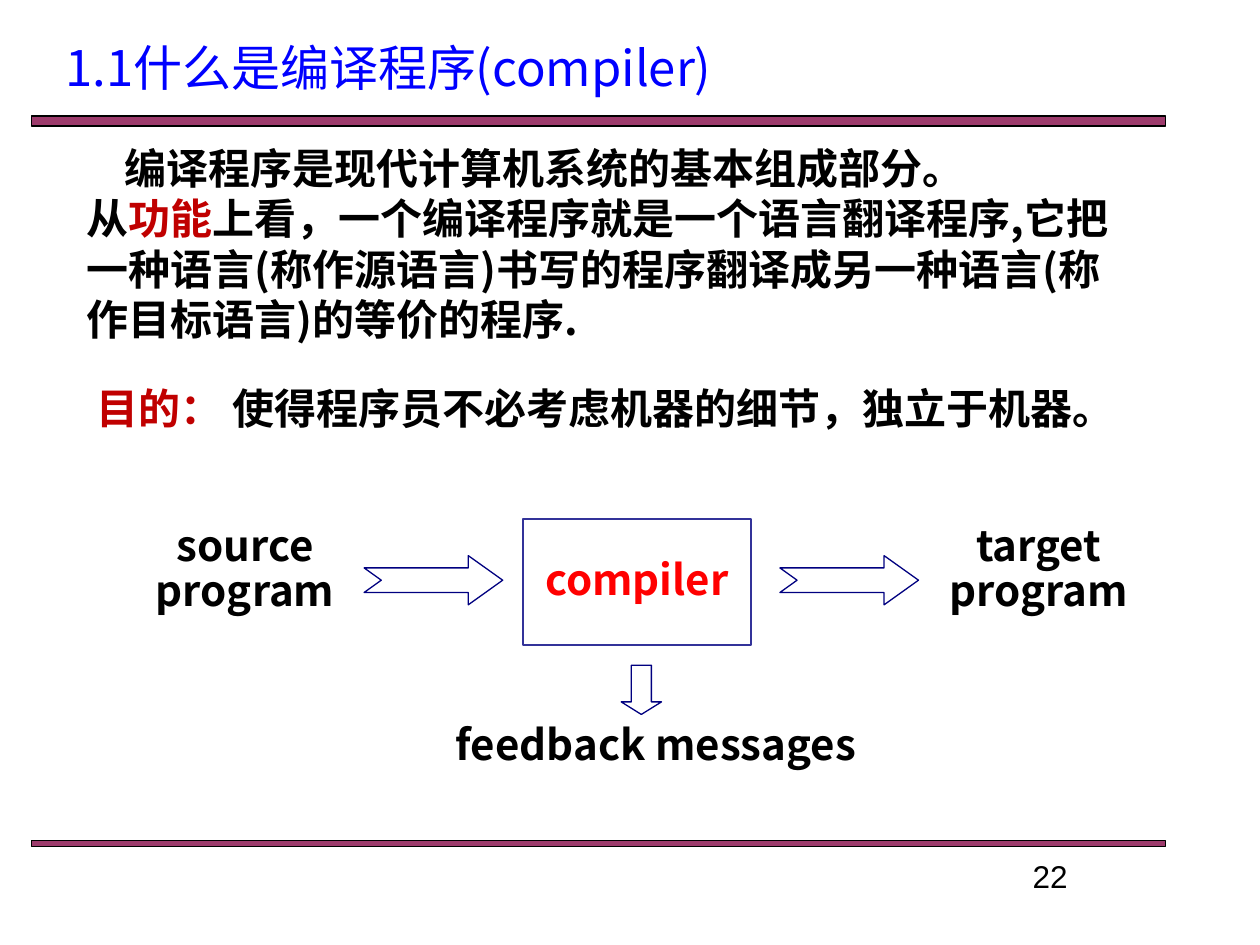
from lxml import etree
from pptx import Presentation
from pptx.dml.color import RGBColor
from pptx.enum import shapes, text
from pptx.oxml import ns
from pptx.util import Inches, Pt

CJK = "Noto Sans CJK SC"
BLACK, RED, DARK_RED, BLUE = "000000", "FF0000", "C00000", "0000FF"
WHITE, NAVY, INDIGO, PLUM = "FFFFFF", "000080", "333399", "993366"

# A paragraph is a list of (words, colour) runs.
TITLE = [[("1.1什么是编译程序(compiler)", BLUE)]]
DEFINITION = [
    [("编译程序是现代计算机系统的基本组成部分。", BLACK)],
    [("从", BLACK), ("功能", DARK_RED),
     ("上看，一个编译程序就是一个语言翻译程序,它把一种语言(称作源语言)书写的程序"
      "翻译成另一种语言(称作目标语言)的等价的程序.", BLACK)],
]
PURPOSE = [[("目的：", DARK_RED), (" 使得程序员不必考虑机器的细节，独立于机器。", BLACK)]]
PAGE_NUMBER = [[("22", BLACK)]]

FLOW_TOP = 4.12
LABELS = [
    ("source program", (0.92, FLOW_TOP, 2.05, 0.83)),
    ("target program", (7.22, FLOW_TOP, 2.05, 0.83)),
    ("feedback messages", (3.12, 5.7, 4.17, 0.47)),
]
COMPILER = (4.15, FLOW_TOP, 1.81, 1)
RIGHT, DOWN = shapes.MSO_SHAPE.NOTCHED_RIGHT_ARROW, shapes.MSO_SHAPE.DOWN_ARROW
ARROWS = [
    (RIGHT, (2.89, 4.41, 1.1, 0.39), 0.7),
    (RIGHT, (6.19, 4.41, 1.1, 0.39), 0.7),
    (DOWN, (4.93, 5.28, 0.32, 0.39), 0.31),
]
RULES = [(0.25, 0.92, 9, 0.08), (0.25, 6.67, 9, 0.05)]


def colour(hex_code):
    return RGBColor.from_string(hex_code)


def place(shape, box):
    shape.left, shape.top, shape.width, shape.height = map(Inches, box)


def write(shape, paragraphs, size=24, font=CJK, bold=True, align=text.PP_ALIGN.LEFT,
          anchor=text.MSO_ANCHOR.TOP, spacing=None, wrap=True, indents=(0,)):
    """Fill a shape with runs; indents gives the first-line indent of each paragraph."""
    frame = shape.text_frame
    frame.word_wrap = wrap
    frame.auto_size = text.MSO_AUTO_SIZE.NONE
    frame.vertical_anchor = anchor
    for i, (runs, indent) in enumerate(zip(paragraphs, indents)):
        paragraph = frame.add_paragraph() if i else frame.paragraphs[0]
        paragraph.alignment = align
        paragraph.space_before = Pt(0)
        if spacing:
            paragraph.line_spacing = spacing
        properties = paragraph._p.get_or_add_pPr()
        properties.set("marL", "0")
        properties.set("indent", str(Inches(indent)))
        etree.SubElement(properties, ns.qn("a:buNone"))
        for words, hex_code in runs:
            run = paragraph.add_run()
            run.text = words
            run.font.size, run.font.bold, run.font.name = Pt(size), bold, font
            run.font.color.rgb = colour(hex_code)
            east_asian = etree.SubElement(run._r.get_or_add_rPr(), ns.qn("a:ea"))
            east_asian.set("typeface", font)


def add_text(slide, box, paragraphs, **style):
    write(slide.shapes.add_textbox(*map(Inches, box)), paragraphs, **style)


def add_outlined(slide, kind, box, fill, line):
    shape = slide.shapes.add_shape(kind, *map(Inches, box))
    shape.shadow.inherit = False
    shape.fill.solid()
    shape.fill.fore_color.rgb = colour(fill)
    shape.line.color.rgb = colour(line)
    shape.line.width = Pt(0.75)
    return shape


def main():
    deck = Presentation()
    deck.slide_width, deck.slide_height = Inches(10), Inches(7.5)
    slide = deck.slides.add_slide(deck.slide_layouts[1])
    title, definition = slide.placeholders
    centre = text.PP_ALIGN.CENTER

    for box in RULES:
        rule = add_outlined(slide, shapes.MSO_SHAPE.RECTANGLE, box, PLUM, BLACK)
        rgb = rule.fill._xPr.find(".//" + ns.qn("a:srgbClr"))
        etree.SubElement(rgb, ns.qn("a:alpha")).set("val", "96000")

    place(title, (0.42, 0.25, 9, 0.83))
    write(title, TITLE, size=28, bold=False)
    place(definition, (0.59, 1.08, 8.51, 1.72))
    write(definition, DEFINITION, indents=(0.3, 0))
    add_text(slide, (0.67, 2.99, 8.42, 0.51), PURPOSE)

    for words, box in LABELS:
        add_text(slide, box, [[(words, BLACK)]], align=centre, spacing=0.9)
    compiler = add_outlined(slide, shapes.MSO_SHAPE.RECTANGLE, COMPILER, WHITE, INDIGO)
    write(compiler, [[("compiler", RED)]], align=centre, spacing=0.9,
          anchor=text.MSO_ANCHOR.MIDDLE, wrap=False)
    for kind, box, head in ARROWS:
        arrow = add_outlined(slide, kind, box, WHITE, NAVY)
        arrow.adjustments[0], arrow.adjustments[1] = 0.5, head

    add_text(slide, (7.17, 6.75, 2.33, 0.42), PAGE_NUMBER, size=18, font="Arial",
             bold=False, align=centre)
    deck.save("out.pptx")


if __name__ == "__main__":
    main()
